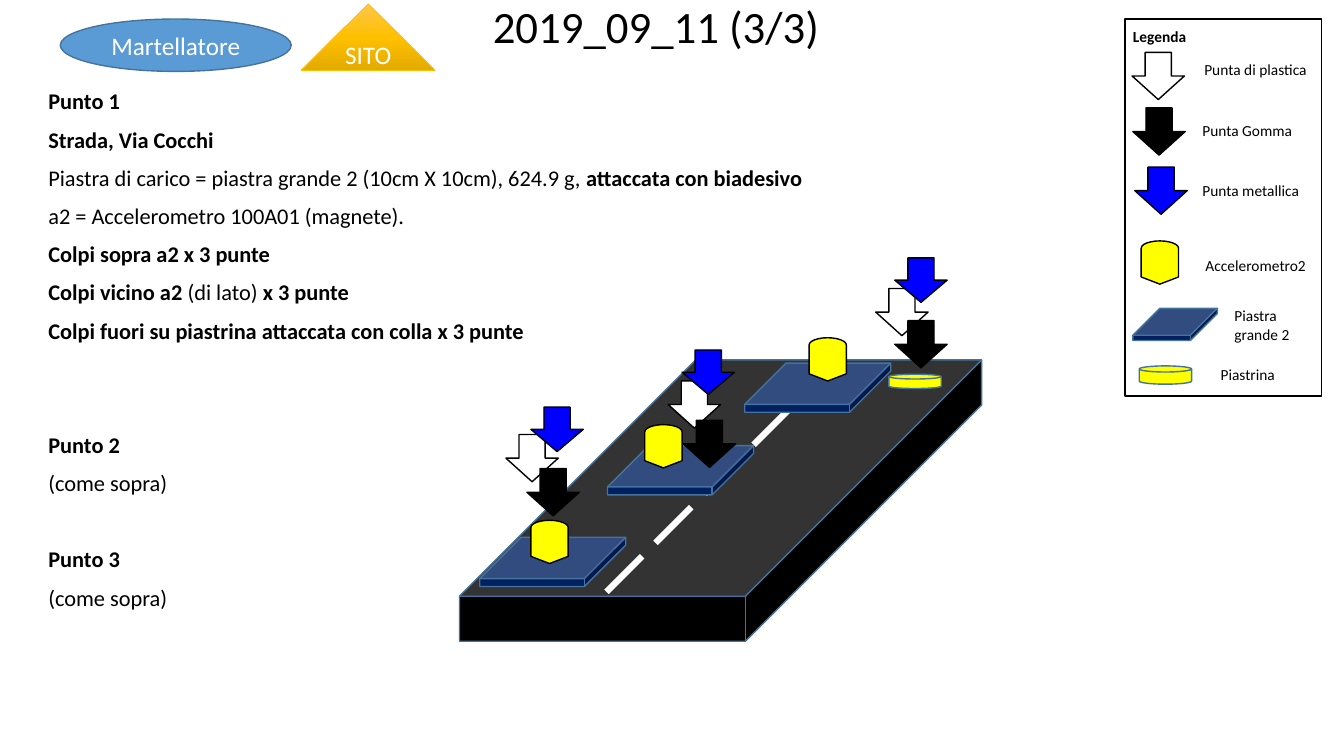
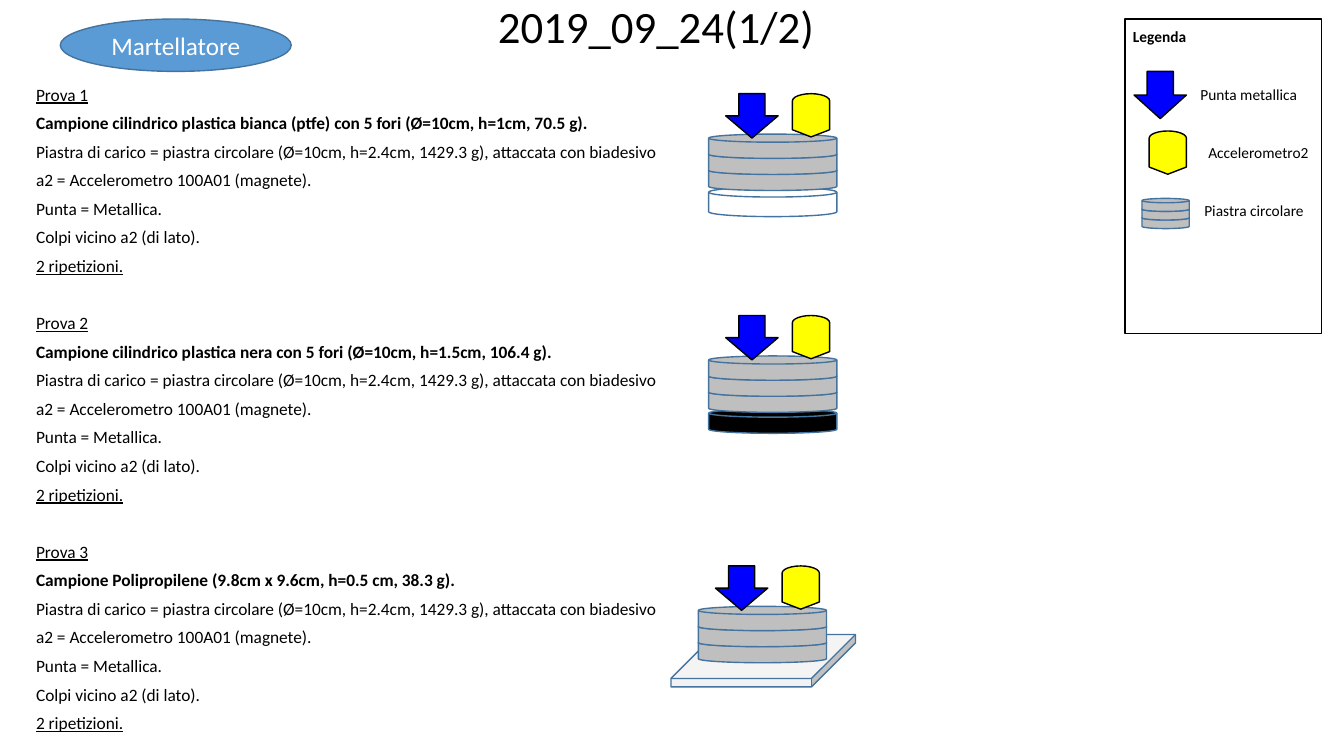
from copy import deepcopy
from dataclasses import dataclass

from lxml.etree import SubElement
from pptx import Presentation
from pptx.dml.color import RGBColor
from pptx.enum.dml import MSO_LINE
from pptx.enum.shapes import MSO_CONNECTOR, MSO_SHAPE
from pptx.enum.text import MSO_ANCHOR, PP_ALIGN
from pptx.oxml.ns import qn
from pptx.util import Cm, Pt

FONT = "Calibri"
BLACK, WHITE, BLUE, YELLOW = "000000", "FFFFFF", "0000FF", "FFFF00"
OUTLINE, NAVY, GREY, PALE = "43739E", "002060", "BFBFBF", "F2F2F2"
SKY, GOLD = "5B9BD5", "FFC000"
CUBE_DEPTH = 0.84
SENSOR_LINE = "a2 = Accelerometro 100A01 (magnete)."


@dataclass
class Box:
    """A rectangle in centimetres."""
    left: float
    top: float
    width: float
    height: float

    def inner(self, left, top, width, height):
        return Box(self.left + left, self.top + top, width, height)

    def lengths(self):
        return Cm(self.left), Cm(self.top), Cm(self.width), Cm(self.height)


# Kind of symbol: preset, fill, outline, rotation
SYMBOLS = {
    "plastica": (MSO_SHAPE.DOWN_ARROW, WHITE, BLACK, 0),
    "gomma": (MSO_SHAPE.DOWN_ARROW, BLACK, BLACK, 0),
    "metallica": (MSO_SHAPE.DOWN_ARROW, BLUE, BLACK, 0),
    "accelerometro": (MSO_SHAPE.FLOWCHART_DISPLAY, YELLOW, BLACK, 270),
    "piastrina": (MSO_SHAPE.FLOWCHART_DIRECT_ACCESS_STORAGE, YELLOW, OUTLINE, 270),
    "piastra": (MSO_SHAPE.CUBE, NAVY, OUTLINE, 0),
    "strada": (MSO_SHAPE.CUBE, BLACK, OUTLINE, 0),
    "polipropilene": (MSO_SHAPE.CUBE, PALE, OUTLINE, 0),
    "disco grigio": (MSO_SHAPE.FLOWCHART_MAGNETIC_DISK, GREY, OUTLINE, 0),
    "disco bianco": (MSO_SHAPE.FLOWCHART_MAGNETIC_DISK, WHITE, OUTLINE, 0),
    "disco nero": (MSO_SHAPE.FLOWCHART_MAGNETIC_DISK, BLACK, OUTLINE, 0),
}
SIZES = {
    "plastica": (1.32, 1.19), "gomma": (1.32, 1.19), "metallica": (1.32, 1.12),
    "accelerometro": (0.94, 1.09), "piastra": (3.68, 1.24),
}


def color(code):
    return RGBColor.from_string(code)


def format_span(span, size, code=BLACK, style=""):
    span.font.name = FONT
    span.font.size = Pt(size)
    span.font.color.rgb = color(code)
    span.font.bold = "b" in style
    span.font.underline = "u" in style


def add_text(page, box, text, size, style="", align=PP_ALIGN.LEFT, spacing=None):
    frame = page.shapes.add_textbox(*box.lengths()).text_frame
    frame.word_wrap = True
    frame.text = text
    para = frame.paragraphs[0]
    para.alignment = align
    para.line_spacing = spacing
    format_span(para.runs[0], size, style=style)


def add_outlined(page, preset, box, fill, line, line_width=1.0):
    shape = page.shapes.add_shape(preset, *box.lengths())
    shape.shadow.inherit = False
    if fill:
        shape.fill.solid()
        shape.fill.fore_color.rgb = color(fill)
    else:
        shape.fill.background()
    shape.line.color.rgb = color(line)
    shape.line.width = Pt(line_width)
    return shape


def add_symbol(page, kind, box):
    """Draw a symbol so that it fills the box after its rotation."""
    preset, fill, line, rotation = SYMBOLS[kind]
    if rotation:
        shift = (box.width - box.height) / 2
        box = box.inner(shift, -shift, box.height, box.width)
    shape = add_outlined(page, preset, box, fill, line)
    shape.rotation = rotation
    if preset == MSO_SHAPE.CUBE:
        shape.adjustments[0] = CUBE_DEPTH


def add_pile(page, box):
    """Three stacked disks, drawn from the bottom up."""
    height = box.height * 0.43
    step = (box.height - height) / 2
    for level in (2, 1, 0):
        add_symbol(page, "disco grigio", box.inner(0, level * step, box.width, height))


def add_badge(page, preset, box, text, fill, line, line_width):
    shape = add_outlined(page, preset, box, fill, line, line_width)
    frame = shape.text_frame
    frame.word_wrap = False
    frame.vertical_anchor = MSO_ANCHOR.MIDDLE
    frame.text = text
    frame.paragraphs[0].alignment = PP_ALIGN.CENTER
    format_span(frame.paragraphs[0].runs[0], 18, WHITE)
    return shape


def add_header(page, title):
    add_text(page, Box(0, 0, 33.07, 2.16), title, 32, align=PP_ALIGN.CENTER, spacing=0.9)
    add_badge(page, MSO_SHAPE.OVAL, Box(1.52, 0.48, 5.82, 1.32),
              "Martellatore", SKY, OUTLINE, 1)


def add_site_badge(page, box):
    shape = add_badge(page, MSO_SHAPE.ISOSCELES_TRIANGLE, box, "SITO", GOLD, GOLD, 0.5)
    shape.fill.gradient()
    shape.fill.gradient_angle = 270
    stop_list = shape._element.spPr.find(qn("a:gradFill")).find(qn("a:gsLst"))
    stop_list.insert(1, deepcopy(stop_list[0]))
    stops = zip(shape.fill.gradient_stops, (0, 0.5, 1), ("FFC64B", GOLD, "E3AB00"))
    for stop, position, code in stops:
        stop.position = position
        stop.color.rgb = color(code)


def add_body(page, box, lines, size, spacing):
    """Each line is its space before and its spans of text and style."""
    frame = page.shapes.add_textbox(*box.lengths()).text_frame
    frame.word_wrap = True
    for index, (before, spans) in enumerate(lines):
        para = frame.add_paragraph() if index else frame.paragraphs[0]
        para.line_spacing = spacing
        para.space_before = Pt(before)
        for text, style in spans:
            span = para.add_run()
            span.text = text
            format_span(span, size, style=style)


def add_legend(page, box, entries):
    """Each entry is a symbol with its place, then a label with its place."""
    add_outlined(page, MSO_SHAPE.RECTANGLE, box, None, BLACK)
    add_text(page, box.inner(-0.05, 0.08, 3.3, 0.74), "Legenda", 11, "b")
    for kind, place, label, left, top, width in entries:
        if kind == "pila":
            add_pile(page, box.inner(*place))
        else:
            add_symbol(page, kind, box.inner(*place))
        add_text(page, box.inner(left, top, width, 0.74), label, 11)


def add_road(page, box):
    add_symbol(page, "strada", box)
    # Centre line
    start, end = box.inner(9.55, 0, 0, 0), box.inner(3.61, 5.94, 0, 0)
    line = page.shapes.add_connector(MSO_CONNECTOR.STRAIGHT, Cm(start.left), Cm(start.top),
                                     Cm(end.left), Cm(end.top))
    line.line.color.rgb = color(WHITE)
    line.line.width = Pt(4.5)
    line.line.dash_style = MSO_LINE.LONG_DASH
    SubElement(line._element.spPr, qn("a:effectLst"))
    # Three measuring points
    add_symbol(page, "piastrina", box.inner(10.82, 0.36, 1.32, 0.36))
    kinds = ("piastra", "accelerometro", "plastica", "gomma", "metallica")
    for places in ROAD_POINTS:
        for kind, place in zip(kinds, places):
            add_symbol(page, kind, box.inner(*place, *SIZES[kind]))


def add_test(page, box, base, base_place):
    add_symbol(page, base, box.inner(*base_place))
    add_pile(page, box.inner(0, 1.02, box.width, 1.42))
    add_symbol(page, "accelerometro", box.inner(2.11, 0, *SIZES["accelerometro"]))
    add_symbol(page, "metallica", box.inner(0.43, 0, *SIZES["metallica"]))


# Places on the road, in the order of the kinds in add_road
ROAD_POINTS = [
    ((0.51, 4.47), (1.8, 4.04), (1.17, 1.88), (1.7, 2.74), (1.8, 1.19)),
    ((3.73, 2.16), (4.67, 1.63), (5.26, 0.53), (5.64, 1.52), (5.61, -0.25)),
    ((7.19, 0.08), (8.81, -0.56), (10.49, -1.8), (10.97, -0.99), (10.97, -2.57)),
]
ROAD_LEGEND = [
    ("plastica", (0.18, 0.84, 1.32, 1.19), "Punta di plastica", 1.75, 0.91, 3.3),
    ("gomma", (0.2, 2.24, 1.32, 1.19), "Punta Gomma", 1.7, 2.44, 3.3),
    ("metallica", (0.25, 3.73, 1.32, 1.19), "Punta metallica", 1.7, 3.96, 3.3),
    ("accelerometro", (0.41, 5.59, 0.94, 1.09), "Accelerometro2", 1.78, 5.84, 3.3),
    ("piastra", (0.2, 7.29, 2.13, 0.81), "Piastra grande 2", 2.51, 7.11, 1.98),
    ("piastrina", (0.36, 8.74, 1.32, 0.46), "Piastrina", 2.16, 8.59, 2.41),
]
TEST_LEGEND = [
    ("metallica", (0.23, 1.32, 1.32, 1.19), "Punta metallica", 1.65, 1.55, 3.3),
    ("accelerometro", (0.61, 2.82, 0.94, 1.09), "Accelerometro2", 1.85, 3.0, 3.3),
    ("pila", (0.43, 4.52, 1.19, 0.76), "Piastra circolare", 1.75, 4.47, 3.12),
]
ROAD_LINES = [
    (0, [("Punto 1", "b")]),
    (10, [("Strada, Via Cocchi", "b")]),
    (10, [("Piastra di carico = piastra grande 2 (10cm X 10cm), 624.9 g, ", ""),
          ("attaccata con biadesivo", "b")]),
    (10, [(SENSOR_LINE, "")]),
    (10, [("Colpi sopra a2 x 3 punte", "b")]),
    (10, [("Colpi vicino a2 ", "b"), ("(di lato) ", ""), ("x 3 punte", "b")]),
    (10, [("Colpi fuori su piastrina attaccata con colla x 3 punte", "b")]),
    (64.5, [("Punto 2", "b")]),
    (10, [("(come sopra)", "")]),
    (37.2, [("Punto 3", "b")]),
    (10, [("(come sopra)", "")]),
]
# Specimen, left and top of its drawing, base and place of the base
TESTS = [
    ("Campione cilindrico plastica bianca (ptfe) con 5 fori (Ø=10cm, h=1cm, 70.5 g).",
     17.86, 2.36, "disco bianco", (0, 2.36, 3.23, 0.74)),
    ("Campione cilindrico plastica nera con 5 fori (Ø=10cm, h=1.5cm, 106.4 g).",
     17.86, 7.95, "disco nero", (0, 2.36, 3.23, 0.61)),
    ("Campione Polipropilene (9.8cm x 9.6cm, h=0.5 cm, 38.3 g).",
     17.6, 14.26, "polipropilene", (-0.69, 1.73, 4.65, 1.32)),
]
TEST_STEPS = [
    "Piastra di carico = piastra circolare (Ø=10cm, h=2.4cm, 1429.3 g), attaccata con biadesivo",
    SENSOR_LINE,
    "Punta = Metallica.",
    "Colpi vicino a2 (di lato).",
]


def road_slide(page):
    add_header(page, "2019_09_11 (3/3)")
    add_site_badge(page, Box(7.59, 0.1, 3.38, 1.68))
    add_body(page, Box(0.97, 2.16, 31.98, 16.56), ROAD_LINES, 16, 0.9)
    add_legend(page, Box(28.35, 0.48, 4.95, 9.5), ROAD_LEGEND)
    add_road(page, Box(11.58, 9.07, 13.16, 7.09))


def test_slide(page):
    add_header(page, "2019_09_24(1/2)")
    lines = []
    for number, (specimen, *_) in enumerate(TESTS, 1):
        lines.append((30.4 if lines else 0, [(f"Prova {number}", "u")]))
        lines.append((10, [(specimen, "b")]))
        lines += [(10, [(step, "")]) for step in TEST_STEPS]
        lines.append((10, [("2 ripetizioni.", "u")]))
    add_body(page, Box(0.66, 2.13, 31.98, 16.56), lines, 12.4, 0.7)
    add_legend(page, Box(28.35, 0.48, 4.95, 7.92), TEST_LEGEND)
    for _, left, top, base, base_place in TESTS:
        add_test(page, Box(left, top, 3.23, 3.1), base, base_place)


def main():
    deck = Presentation()
    deck.slide_width, deck.slide_height = Cm(33.87), Cm(19.05)
    for build in (road_slide, test_slide):
        build(deck.slides.add_slide(deck.slide_layouts[6]))
    deck.save("out.pptx")


if __name__ == "__main__":
    main()
